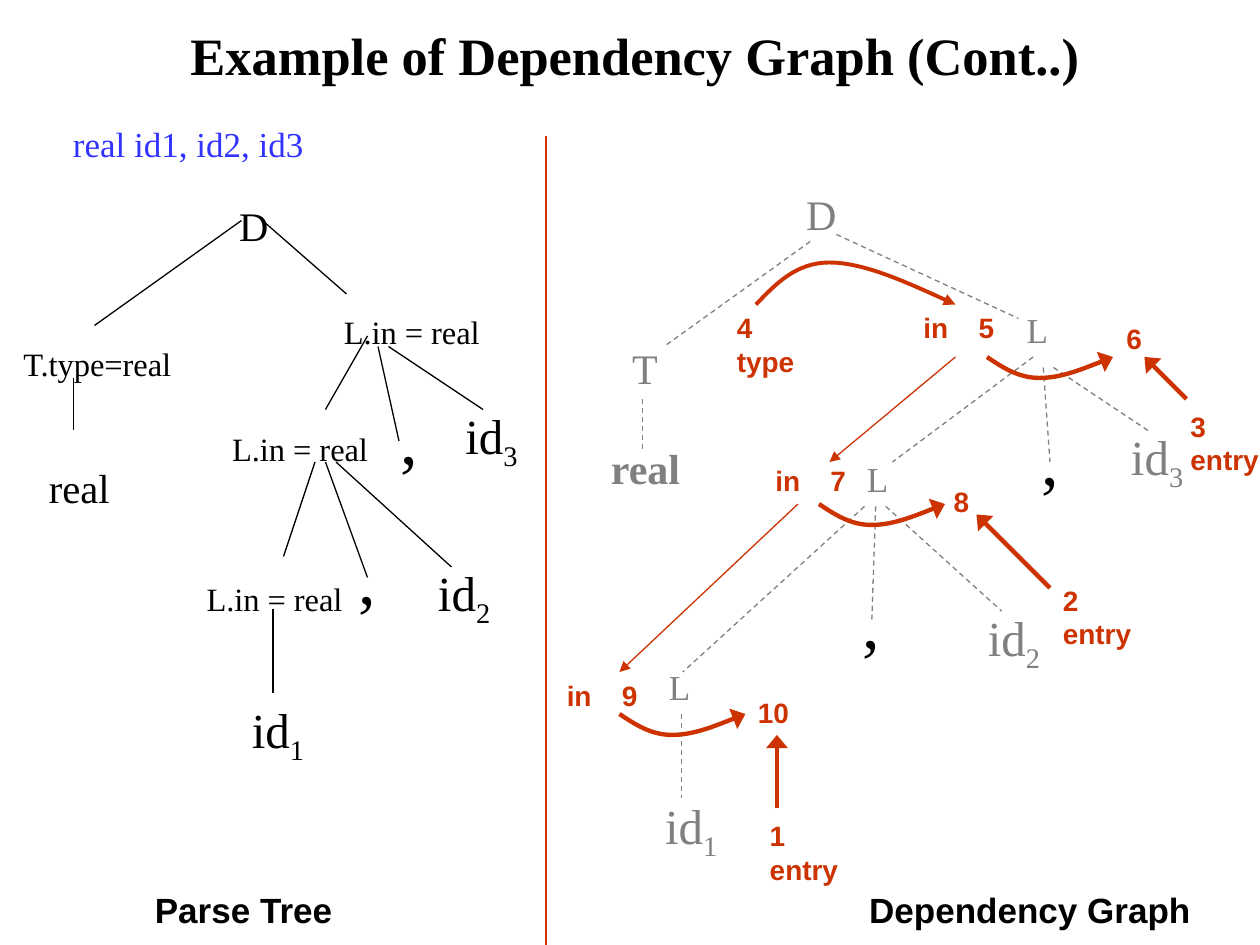
"""Build a slide showing a parse tree beside its dependency graph."""
from lxml import etree
from pptx import Presentation
from pptx.dml.color import RGBColor
from pptx.enum.dml import MSO_LINE
from pptx.enum.shapes import MSO_CONNECTOR
from pptx.enum.text import MSO_ANCHOR, MSO_AUTO_SIZE, PP_ALIGN
from pptx.oxml.ns import qn
from pptx.util import Pt

STRAIGHT = MSO_CONNECTOR.STRAIGHT
DASH = MSO_LINE.DASH
FIT_SHAPE = MSO_AUTO_SIZE.SHAPE_TO_FIT_TEXT
MIDDLE = MSO_ANCHOR.MIDDLE
CENTER = PP_ALIGN.CENTER

SERIF, SANS = "Times New Roman", "Arial"
BLACK, GRAY, RED, BLUE = "000000", "808080", "CC3300", "3333FF"
TAB_STOP = 31.5

# style: (size, font, colour, bold)
STYLES = {
    "title": (30, SERIF, BLACK, True),
    "input": (20, SERIF, BLUE, False),
    "caption": (20, SANS, BLACK, True),
    "symbol": (40, SERIF, BLACK, False),
    "attribute": (32, SERIF, BLACK, False),
    "leaf": (28, SERIF, BLACK, False),
    "gray leaf": (28, SERIF, GRAY, False),
    "gray list": (20, SERIF, GRAY, False),
    "gray symbol": (24, SERIF, GRAY, False),
    "gray word": (24, SERIF, GRAY, True),
    "step": (16, SANS, RED, True),
}

# style, width, height, [(text, left, top)]; text after "_" is subscript
LABELS = [
    ("attribute", 92, 51, [("_L.in = real", 189.4, 153.4),
                           ("_L.in = real", 125.6, 220.3),
                           ("_L.in = real", 111, 306)]),
    ("attribute", 100, 51, [("_T.type=real", 6.3, 171.4)]),
    ("symbol", 49, 62, [("_real", 20.9, 234)]),
    ("symbol", 31, 62, [("_D", 129.6, 84.2)]),
    ("symbol", 30, 151, [(",", 198, 301.7), (",", 222, 221.8),
                         (",", 486, 326.9), (",", 588, 234)]),
    ("leaf", 44, 45, [("id_1", 136.8, 396), ("id_2", 243.2, 318), ("id_3", 258.8, 228)]),
    ("gray leaf", 44, 45, [("id_1", 373, 451.2), ("id_2", 557.4, 343.6),
                           ("id_3", 639.2, 240)]),
    ("gray list", 26.8, 31.5, [("L", 579.6, 172.8), ("L", 488.2, 258), ("L", 375.2, 376.8)]),
    ("gray word", 54, 36, [("real", 342, 249.1)]),
    ("gray symbol", 31.8, 36, [("D", 453.6, 104.4)]),
    ("gray symbol", 29, 36, [("T", 354.2, 192.2)]),
    ("step", 48, 46, [("4\ntype", 414, 174)]),
    ("step", 56, 46, [("3\nentry", 673.2, 230.4), ("2\nentry", 600.3, 329.8),
                      ("1\nentry", 432.8, 464.2)]),
    ("step", 58, 46, [("in\t5", 520.6, 174), ("in\t7", 436, 261.4), ("in\t9", 316.8, 384)]),
    ("step", 33, 26.6, [("10", 426, 393.8)]),
    ("step", 24, 26.6, [("8", 537.8, 273.6), ("6", 636.5, 180)]),
    ("input", 150, 31.5, [("real id1, id2, id3", 34.6, 66.2)]),
    ("caption", 118, 31.5, [("Parse Tree", 81.4, 504)]),
    ("caption", 200, 31.5, [("Dependency Graph", 489.6, 504)]),
]

TREE_EDGES = [
    (138, 126, 54, 186), (150, 126, 198, 168), (42, 216, 42, 246),
    (210, 192, 186, 234), (222, 198, 276, 234), (216, 198, 228, 252),
    (180, 264, 162, 318), (186, 264, 210, 330), (192, 264, 258, 324),
    (156, 348, 156, 396),
]
GRAY_EDGES = [
    (463, 138, 379.5, 198), (478, 134, 582, 182), (367, 228, 367, 258),
    (590.4, 204, 510, 264), (602, 210, 656, 246), (596.2, 210, 600, 264),
    (494, 289.4, 390.2, 384), (500.4, 289.4, 498.2, 354), (506.2, 289.4, 572.4, 349.2),
    (389.5, 408, 389.5, 456),
]
DIVIDER = [(312, 78, 312, 540)]
INHERIT_ARROWS = [(546, 204, 474, 264), (456, 288, 354, 384)]
ENTRY_ARROWS = [(678, 228, 654, 204), (600, 336, 558, 294), (444, 462, 444, 420)]

# edges, colour, width, dashed, arrowhead width
LINE_GROUPS = [
    (TREE_EDGES, BLACK, 0.75, False, None),
    (GRAY_EDGES, GRAY, 0.75, True, None),
    (DIVIDER, RED, 0.75, False, None),
    (INHERIT_ARROWS, RED, 0.75, False, "med"),
    (ENTRY_ARROWS, RED, 2.5, False, "lg"),
]

# Bezier points relative to the start of the curve
TYPE_CURVE = [(11.5, -12), (23, -24), (42, -24), (61, -24), (88, -12), (114, 0)]
STEP_CURVE = [(9, 6), (18, 12), (30, 12), (42, 12), (57, 6), (72, 0)]
CURVES = [(432, 174, TYPE_CURVE, 2.25, "med"), (564, 204, STEP_CURVE, 2.5, "lg"),
          (468, 288, STEP_CURVE, 2.5, "lg"), (354, 408, STEP_CURVE, 2.5, "lg")]


def color(value):
    return RGBColor.from_string(value)


def add_label(page, text, style, left, top, width, height):
    size, font, tone, bold = STYLES[style]
    box = page.shapes.add_textbox(Pt(left), Pt(top), Pt(width), Pt(height))
    frame = box.text_frame
    frame.word_wrap = text == "," or "\t" in text or style == "title"
    if style != "title":
        frame.auto_size = FIT_SHAPE
    for index, line in enumerate(text.split("\n")):
        para = frame.paragraphs[0] if index == 0 else frame.add_paragraph()
        if "\t" in line:
            tabs = etree.SubElement(para._p.get_or_add_pPr(), qn("a:tabLst"))
            etree.SubElement(tabs, qn("a:tab"), pos=str(Pt(TAB_STOP)), algn="l")
        for position, part in enumerate(line.split("_")):
            if not part:
                continue
            span = para.add_run()
            span.text = part
            span.font.size, span.font.name, span.font.bold = Pt(size), font, bold
            span.font.color.rgb = color(tone)
            if position == 1:
                span._r.get_or_add_rPr().set("baseline", "-25000")
    return box


def style_line(shape, tone, width, dashed, head):
    shape.line.color.rgb = color(tone)
    shape.line.width = Pt(width)
    if dashed:
        shape.line.dash_style = DASH
    if head:
        etree.SubElement(shape.line._get_or_add_ln(), qn("a:tailEnd"),
                         type="triangle", w=head, len="med")


def add_edge(page, ends, *look):
    edge = page.shapes.add_connector(STRAIGHT, *[Pt(value) for value in ends])
    style_line(edge, *look)
    etree.SubElement(edge._element.spPr, qn("a:effectLst"))


def add_curve(page, left, top, offsets, width, head):
    builder = page.shapes.build_freeform(Pt(left), Pt(top))
    builder.add_line_segments([(Pt(left + x), Pt(top + y)) for x, y in offsets], close=False)
    curve = builder.convert_to_shape()
    outline = curve._element.find(".//" + qn("a:path"))
    segments = outline.findall(qn("a:lnTo"))
    for start in range(0, len(segments), 3):
        bezier = etree.SubElement(outline, qn("a:cubicBezTo"))
        for segment in segments[start:start + 3]:
            bezier.append(segment[0])
            outline.remove(segment)
    curve.fill.background()
    curve.shadow.inherit = False
    style_line(curve, RED, width, False, head)


def main():
    deck = Presentation()
    deck.slide_width, deck.slide_height = Pt(720), Pt(540)
    page = deck.slides.add_slide(deck.slide_layouts[6])
    title = add_label(page, "Example of Dependency Graph (Cont..)", "title", 6, 6, 714, 50)
    title.text_frame.vertical_anchor = MIDDLE
    title.text_frame.paragraphs[0].alignment = CENTER
    for edges, *look in LINE_GROUPS:
        for ends in edges:
            add_edge(page, ends, *look)
    for curve in CURVES:
        add_curve(page, *curve)
    for style, width, height, items in LABELS:
        for text, left, top in items:
            add_label(page, text, style, left, top, width, height)
    deck.save("out.pptx")


if __name__ == "__main__":
    main()
